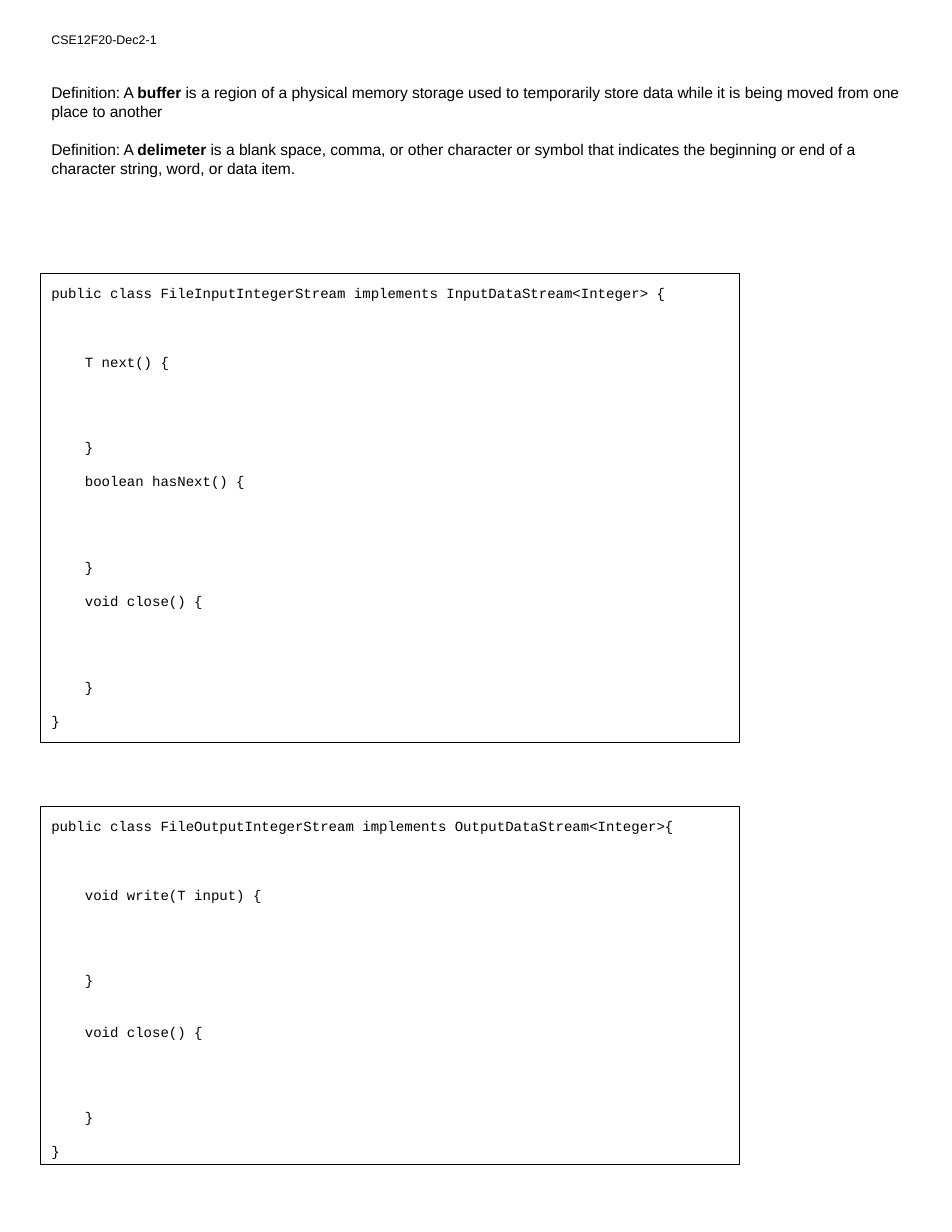
from pptx import Presentation
from pptx.dml.color import RGBColor
from pptx.enum.shapes import MSO_SHAPE
from pptx.enum.text import MSO_ANCHOR, PP_ALIGN
from pptx.util import Inches, Pt

RECTANGLE = MSO_SHAPE.RECTANGLE
TOP = MSO_ANCHOR.TOP
LEFT = PP_ALIGN.LEFT
BLACK = "000000"
BLANK_CODE_LINE = 11.07

DEFINITIONS = [
    ("buffer", " is a region of a physical memory storage used to temporarily store data "
               "while it is being moved from one place to another"),
    ("delimeter", " is a blank space, comma, or other character or symbol that indicates "
                  "the beginning or end of a character string, word, or data item."),
]
INPUT_STREAM = [
    (0, "public class FileInputIntegerStream implements InputDataStream<Integer> {"),
    (3, "    T next() {"),
    (4, "    }"),
    (1, "    boolean hasNext() {"),
    (4, "    }"),
    (1, "    void close() {"),
    (4, "    }"),
    (1, "}"),
]
OUTPUT_STREAM = [
    (0, "public class FileOutputIntegerStream implements OutputDataStream<Integer>{"),
    (3, "    void write(T input) {"),
    (4, "    }"),
    (2, "    void close() {"),
    (4, "    }"),
    (1, "}"),
]


def color(hex_string):
    return RGBColor.from_string(hex_string)


def prepare_frame(frame):
    frame.word_wrap = True
    frame.vertical_anchor = TOP
    frame.margin_left = frame.margin_right = Inches(0.1)
    frame.margin_top = frame.margin_bottom = Inches(0.1)
    return frame


def next_paragraph(frame, index, font_name, size, space_before=0):
    paragraph = frame.add_paragraph() if index else frame.paragraphs[0]
    paragraph.alignment = LEFT
    if space_before:
        paragraph.space_before = Pt(space_before)
    paragraph.font.name = font_name
    paragraph.font.size = Pt(size)
    paragraph.font.color.rgb = color(BLACK)
    return paragraph


def add_page_label(slide, left, top, width, height):
    label = slide.shapes.add_textbox(left, top, width, height)
    frame = prepare_frame(label.text_frame)
    next_paragraph(frame, 0, "Arial", 8).add_run().text = "CSE12F20-Dec2-1"


def add_definitions(slide, left, top, width, height):
    definitions = slide.shapes.add_textbox(left, top, width, height)
    frame = prepare_frame(definitions.text_frame)
    for index, (term, meaning) in enumerate(DEFINITIONS):
        paragraph = next_paragraph(frame, index, "Arial", 10, 12.6 if index else 0)
        paragraph.add_run().text = "Definition: A "
        term_run = paragraph.add_run()
        term_run.text = term
        term_run.font.bold = True
        paragraph.add_run().text = meaning


def add_code_box(slide, code, left, top, width, height):
    code_box = slide.shapes.add_shape(RECTANGLE, left, top, width, height)
    code_box.shadow.inherit = False
    code_box.fill.background()
    code_box.line.color.rgb = color(BLACK)
    code_box.line.width = Pt(0.75)
    frame = prepare_frame(code_box.text_frame)
    for index, (blank_lines, line) in enumerate(code):
        gap = blank_lines * BLANK_CODE_LINE
        next_paragraph(frame, index, "Courier New", 9, gap).add_run().text = line


def main():
    presentation = Presentation()
    presentation.slide_width = Inches(8.5)
    presentation.slide_height = Inches(11)
    slide = presentation.slides.add_slide(presentation.slide_layouts[6])
    left = Inches(0.36)
    code_width = Inches(6.24)
    add_page_label(slide, left, Inches(0.22), Inches(2.04), Inches(0.33))
    add_code_box(slide, INPUT_STREAM, left, Inches(2.44), code_width, Inches(4.19))
    add_code_box(slide, OUTPUT_STREAM, left, Inches(7.2), code_width, Inches(3.2))
    add_definitions(slide, left, Inches(0.64), Inches(7.77), Inches(1.45))
    presentation.save("out.pptx")


if __name__ == "__main__":
    main()
